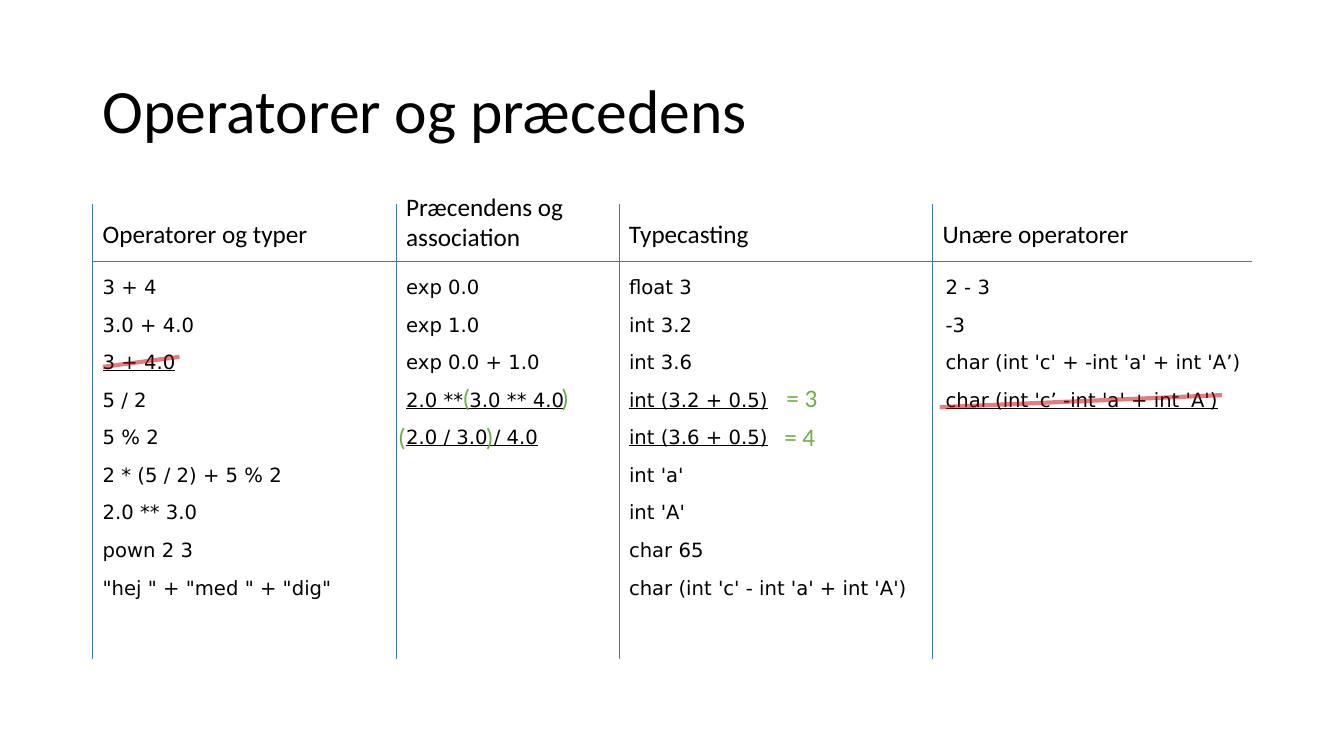
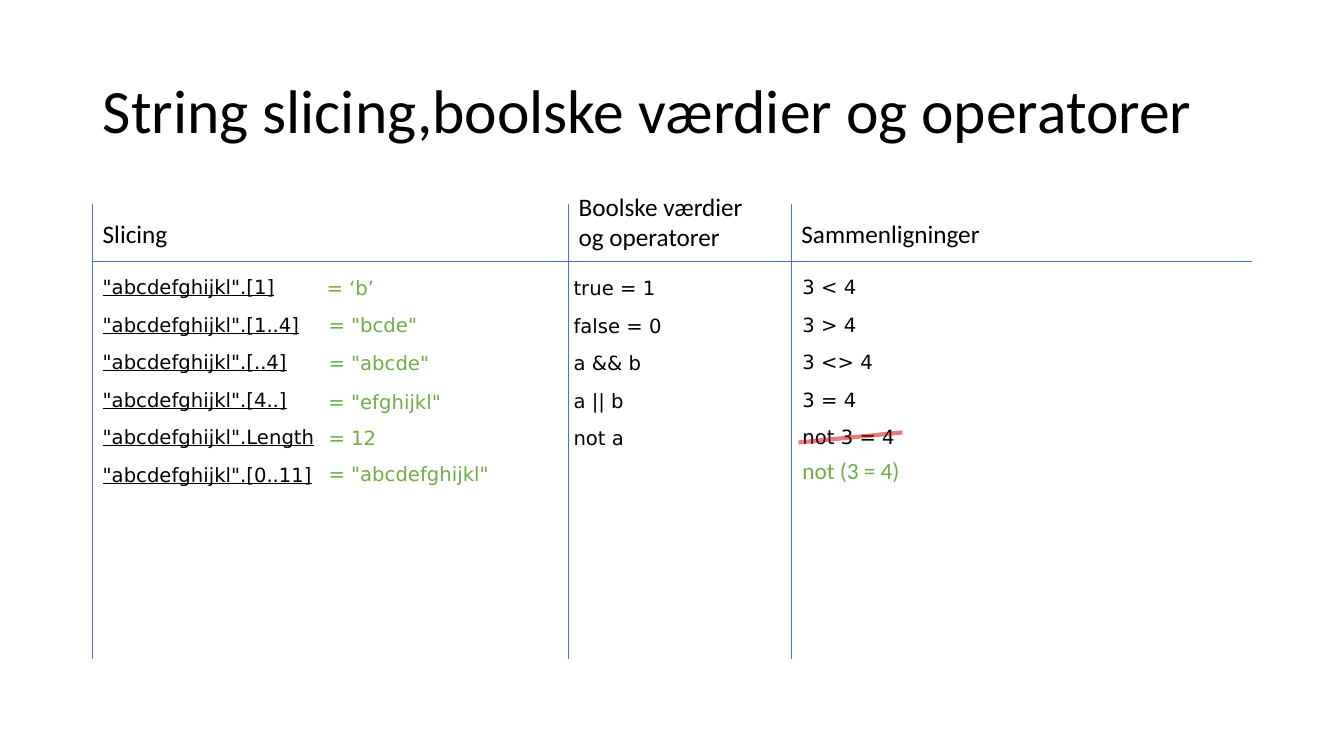
from dataclasses import dataclass

from lxml import etree
from pptx import Presentation
from pptx.dml.color import RGBColor
from pptx.enum.shapes import MSO_CONNECTOR
from pptx.enum.text import MSO_ANCHOR, MSO_AUTO_SIZE, PP_ALIGN
from pptx.oxml.ns import qn
from pptx.util import Pt

PX = 9144
STRAIGHT = MSO_CONNECTOR.STRAIGHT
MIDDLE = MSO_ANCHOR.MIDDLE
GROW = MSO_AUTO_SIZE.SHAPE_TO_FIT_TEXT
FIXED = MSO_AUTO_SIZE.NONE
LEFT = PP_ALIGN.LEFT


@dataclass(frozen=True)
class Theme:
    """Colours, fonts, type sizes and the frame that the slides share."""
    ink: str = "000000"
    rule: str = "4472C4"
    answer: str = "70AD47"
    strike: str = "C00000"
    sans: str = "Calibri"
    code: str = "DejaVu Sans"
    title: float = 44
    head: float = 18
    body: float = 14
    fix: float = 16.6
    left: int = 92
    right: int = 1242
    top: int = 202
    base: int = 259
    foot: int = 654


T = Theme()


def px(*sizes):
    """Turn px into EMU."""
    return [size * PX for size in sizes]


def style(para, face, size, color, under=False):
    """Set the font of a whole paragraph."""
    para.alignment = LEFT
    font = para.font
    font.name, font.size = face, Pt(size)
    font.color.rgb = RGBColor.from_string(color)
    if under:
        font.underline = True


def text(slide, box, lines, face, size, color, wrap=True, grow=False, under=()):
    """Add a text box with one paragraph for each line."""
    frame = slide.shapes.add_textbox(*px(*box)).text_frame
    frame.word_wrap = wrap
    frame.auto_size = GROW if grow else FIXED
    for row, line in enumerate(lines):
        para = frame.add_paragraph() if row else frame.paragraphs[0]
        para.text = line
        if row:
            para.space_before = Pt(10)
        style(para, face, size, color, row in under)
    return frame


def line(slide, ends, color, width, alpha=None):
    """Add a straight line without a shadow."""
    link = slide.shapes.add_connector(STRAIGHT, *px(*ends))
    link.line.color.rgb = RGBColor.from_string(color)
    link.line.width = Pt(width)
    props = link._element.spPr
    etree.SubElement(props, qn("a:effectLst"))
    if alpha:
        tone = next(props.iter(qn("a:srgbClr")))
        etree.SubElement(tone, qn("a:alpha")).set("val", str(alpha * 1000))


def strike(slide, *ends):
    """Cross out a line of code."""
    line(slide, ends, T.strike, 3, 50)


def code(slide, box, lines, under=()):
    """Add a list of code lines."""
    text(slide, box, lines, T.code, T.body, T.ink, under=under)


def note(slide, x, y, width, label, face=T.sans, size=T.head, height=40):
    """Add a short green remark."""
    text(slide, (x, y, width, height), [label], face, size, T.answer, wrap=False, grow=True)


def head(slide, x, width, label, tall=False):
    """Add a column heading of one line, or two when tall."""
    y, height = (185, 71) if tall else (212, 40)
    text(slide, (x, y, width, height), [label], T.sans, T.head, T.ink, wrap=tall, grow=True)


def page(deck, title, width, heads):
    """Add a slide with its title, column headings and rules."""
    slide = deck.slides.add_slide(deck.slide_layouts[5])
    shape = slide.shapes.title
    shape.left, shape.top, shape.width, shape.height = px(T.left, 40, width, 145)
    frame = shape.text_frame
    frame.text = title
    frame.word_wrap = True
    frame.auto_size = FIXED
    frame.vertical_anchor = MIDDLE
    para = frame.paragraphs[0]
    para.line_spacing = 0.9
    style(para, T.sans, T.title, T.ink)
    for x, *rest in heads:
        line(slide, (x, T.top, x, T.foot), T.rule, 0.5)
        head(slide, x, *rest)
    line(slide, (T.left, T.base, T.right, T.base), T.rule, 0.5)
    return slide


def types(deck):
    """Build the slide on operators and precedence."""
    slide = page(deck, "Operatorer og præcedens", 1150, [
        (92, 226, "Operatorer og typer"),
        (393, 215, "Præcendens og association", True),
        (614, 140, "Typecasting"),
        (925, 207, "Unære operatorer"),
    ])
    code(slide, (92, 268, 294, 369), [
        "3 + 4", "3.0 + 4.0", "3 + 4.0", "5 / 2", "5 % 2", "2 * (5 / 2) + 5 % 2",
        "2.0 ** 3.0", "pown 2 3", '"hej " + "med " + "dig"',
    ], under=(2,))
    code(slide, (393, 268, 215, 369), [
        "exp 0.0", "exp 1.0", "exp 0.0 + 1.0", "2.0 ** 3.0 ** 4.0", "2.0 / 3.0 / 4.0",
    ], under=(3, 4))
    code(slide, (614, 268, 305, 369), [
        "float 3", "int 3.2", "int 3.6", "int (3.2 + 0.5)", "int (3.6 + 0.5)",
        "int 'a'", "int 'A'", "char 65", "char (int 'c' - int 'a' + int 'A')",
    ], under=(3, 4))
    code(slide, (928, 268, 320, 369), [
        "2 - 3", "-3", "char (int 'c' + -int 'a' + int 'A’)",
        "char (int 'c’ -int 'a' + int 'A')",
    ], under=(3,))
    strike(slide, 102, 364, 178, 354)
    strike(slide, 932, 404, 1212, 392)
    for y, start, end, x, result in ((374, 449, 547, 770, "= 3"), (413, 385, 472, 768, "= 4")):
        note(slide, start, y, 28, "(")
        note(slide, end, y, 28, ")")
        note(slide, x, y, 51, result)


def slices(deck):
    """Build the slide on slicing and boolean values."""
    slide = page(deck, "String slicing,boolske værdier og operatorer", 1191, [
        (92, 85, "Slicing"),
        (564, 205, "Boolske værdier og operatorer", True),
        (785, 199, "Sammenligninger"),
    ])
    calls = [".[1]", ".[1..4]", ".[..4]", ".[4..]", ".Length", ".[0..11]"]
    code(slide, (92, 268, 551, 248), ['"abcdefghijkl"' + call for call in calls],
         under=range(len(calls)))
    for x, y, width, result in (
        (314, 269, 68, "= ‘b’"),
        (316, 306, 109, '= "bcde"'),
        (316, 343, 121, '= "abcde"'),
        (316, 382, 133, '= "efghijkl"'),
        (316, 418, 68, "= 12"),
        (316, 453, 181, '= "abcdefghijkl"'),
    ):
        note(slide, x, y, width, result, T.code, T.body, 34)
    code(slide, (559, 269, 215, 369), ["true = 1", "false = 0", "a && b", "a || b", "not a"])
    code(slide, (786, 268, 215, 369), ["3 < 4", "3 > 4", "3 <> 4", "3 = 4", "not 3 = 4"])
    frame = text(slide, (786, 453, 215, 35), ["not (3 = 4)"], T.sans, T.fix, T.answer)
    frame.paragraphs[0].line_spacing = 0.8
    strike(slide, 792, 439, 895, 429)


def main():
    """Build and save the deck."""
    deck = Presentation()
    deck.slide_width, deck.slide_height = px(1333, 750)
    types(deck)
    slices(deck)
    deck.save("out.pptx")


if __name__ == "__main__":
    main()
